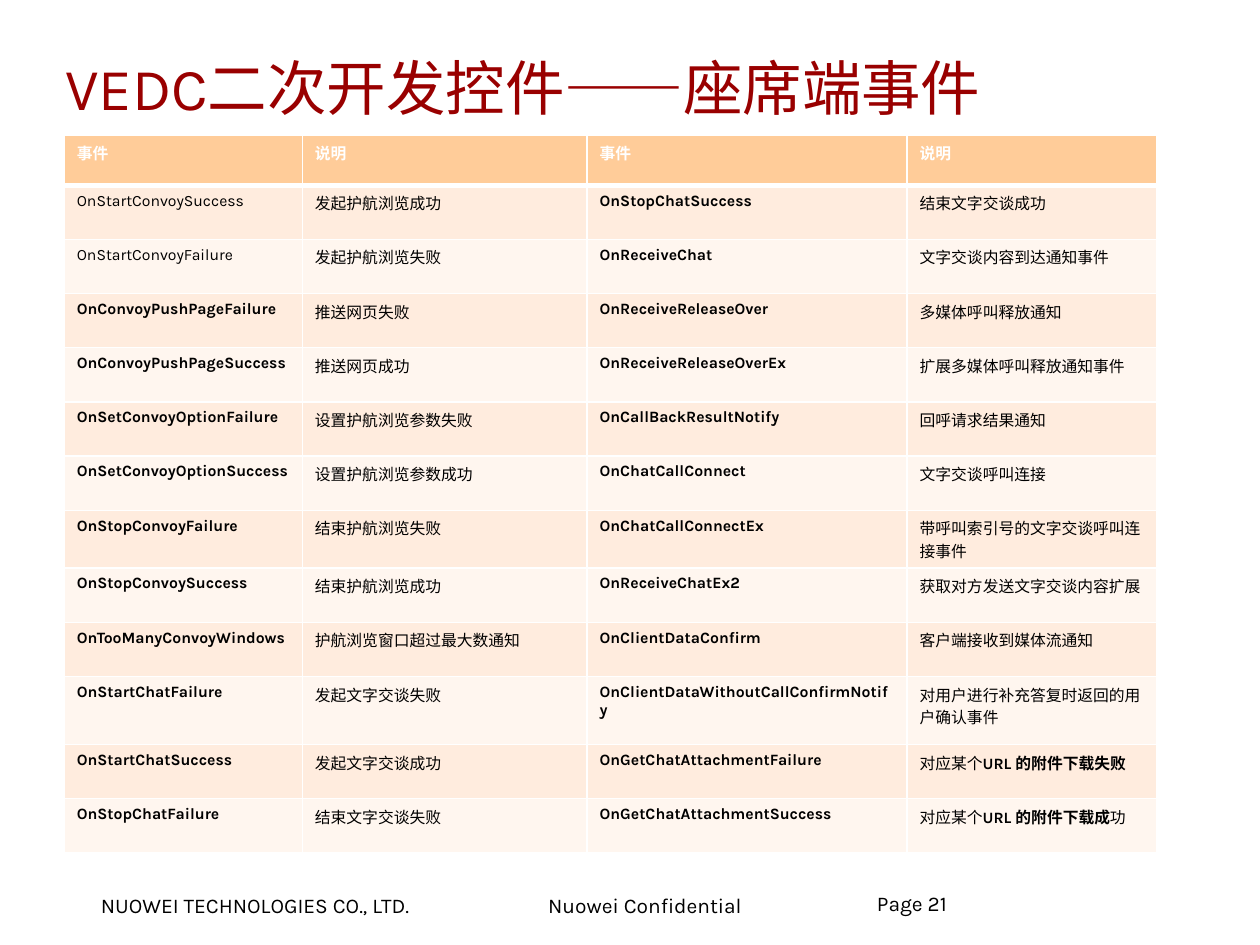
import pptx
import pptx.util
import pptx.dml.color
import pptx.enum.text
import pptx.oxml.ns
import lxml.etree

Inches = pptx.util.Inches
Pt = pptx.util.Pt
RGBColor = pptx.dml.color.RGBColor
qn = pptx.oxml.ns.qn
MIDDLE = pptx.enum.text.MSO_ANCHOR.MIDDLE
TOP = pptx.enum.text.MSO_ANCHOR.TOP

# Content: a cell is a string or a list of (text, bold) runs
TITLE = "VEDC二次开发控件——座席端事件"
COMPANY = "NUOWEI TECHNOLOGIES CO., LTD."
NOTICE = "Nuowei Confidential"
PAGE = "Page 21"
HEADER = ("事件", "说明", "事件", "说明")
EVENTS = [
    ([("OnStartConvoySuccess", False)], "发起护航浏览成功",
     "OnStopChatSuccess", "结束文字交谈成功"),
    ([("OnStartConvoyFailure", False)], "发起护航浏览失败",
     "OnReceiveChat", "文字交谈内容到达通知事件"),
    ("OnConvoyPushPageFailure", "推送网页失败",
     "OnReceiveReleaseOver", "多媒体呼叫释放通知"),
    ("OnConvoyPushPageSuccess", "推送网页成功",
     "OnReceiveReleaseOverEx", "扩展多媒体呼叫释放通知事件"),
    ("OnSetConvoyOptionFailure", "设置护航浏览参数失败",
     "OnCallBackResultNotify", "回呼请求结果通知"),
    ("OnSetConvoyOptionSuccess", "设置护航浏览参数成功",
     "OnChatCallConnect", "文字交谈呼叫连接"),
    ("OnStopConvoyFailure", "结束护航浏览失败",
     "OnChatCallConnectEx", "带呼叫索引号的文字交谈呼叫连接事件"),
    ("OnStopConvoySuccess", "结束护航浏览成功",
     "OnReceiveChatEx2", "获取对方发送文字交谈内容扩展"),
    ("OnTooManyConvoyWindows", "护航浏览窗口超过最大数通知",
     "OnClientDataConfirm", "客户端接收到媒体流通知"),
    ("OnStartChatFailure", "发起文字交谈失败",
     "OnClientDataWithoutCallConfirmNotify", "对用户进行补充答复时返回的用户确认事件"),
    ("OnStartChatSuccess", "发起文字交谈成功", "OnGetChatAttachmentFailure",
     [("对应某个", False), ("URL 的附件下载失败", True)]),
    ("OnStopChatFailure", "结束文字交谈失败", "OnGetChatAttachmentSuccess",
     [("对应某个", False), ("URL 的附件下载成", True), ("功", False)]),
]
COL_WIDTHS = (1.89, 2.26, 2.54, 1.98)
HEADER_HEIGHT, ROW_HEIGHT = 0.4, 0.43
TALL_ROWS = {7: 0.46, 10: 0.54}  # rows whose text takes two lines

FONT = "Karla"
WHITE = RGBColor(0xFF, 0xFF, 0xFF)
BLACK = RGBColor(0, 0, 0)
DARK_RED = RGBColor(0x99, 0, 0)
ORANGE = RGBColor(0xFF, 0xCC, 0x99)
BANDS = (RGBColor(0xFF, 0xF6, 0xEF), RGBColor(0xFF, 0xEC, 0xDE))


def add_run(p, text, size, color, bold=False):
    r = p.add_run()
    r.text = text
    r.font.name = FONT
    r.font.size = Pt(size)
    r.font.bold = bold
    r.font.color.rgb = color


def add_text(slide, box, text, size, color, wrap=True, anchor=TOP,
             margins=(0.09, 0.04), spacing=None):
    sp = slide.shapes.add_textbox(*map(Inches, box))
    tf = sp.text_frame
    tf.word_wrap = wrap
    tf.vertical_anchor = anchor
    tf.margin_left = tf.margin_right = Inches(margins[0])
    tf.margin_top = tf.margin_bottom = Inches(margins[1])
    p = tf.paragraphs[0]
    if spacing:
        p.line_spacing = spacing
    add_run(p, text, size, color)


def set_borders(cell, bottom, top):
    tcPr = cell._tc.get_or_add_tcPr()
    widths = (("a:lnL", 1), ("a:lnR", 1), ("a:lnT", top), ("a:lnB", bottom))
    for i, (tag, width) in enumerate(widths):
        ln = lxml.etree.Element(qn(tag), w=str(Pt(width)))
        fill = lxml.etree.SubElement(ln, qn("a:solidFill"))
        lxml.etree.SubElement(fill, qn("a:srgbClr"), val=str(WHITE))
        tcPr.insert(i, ln)


def add_event_table(slide):
    rows = [HEADER] + EVENTS
    heights = [HEADER_HEIGHT] + [TALL_ROWS.get(i, ROW_HEIGHT)
                                 for i in range(1, len(rows))]
    table = slide.shapes.add_table(
        len(rows), len(COL_WIDTHS), Inches(0.51), Inches(1.07),
        Inches(sum(COL_WIDTHS)), Inches(sum(heights))).table
    for col, width in zip(table.columns, COL_WIDTHS):
        col.width = Inches(width)
    for i, (row, height) in enumerate(zip(rows, heights)):
        table.rows[i].height = Inches(height)
        is_header = i == 0
        for j, content in enumerate(row):
            cell = table.cell(i, j)
            cell.fill.solid()
            cell.fill.fore_color.rgb = ORANGE if is_header else BANDS[i % 2]
            set_borders(cell, bottom=3 if is_header else 1, top=3 if i == 1 else 1)
            # Headings and event names are bold, descriptions are not
            if isinstance(content, str):
                content = [(content, is_header or j % 2 == 0)]
            for text, bold in content:
                add_run(cell.text_frame.paragraphs[0], text, 9,
                        WHITE if is_header else BLACK, bold)


def main():
    prs = pptx.Presentation()
    prs.slide_width, prs.slide_height = Inches(10), Inches(7.5)
    slide = prs.slides.add_slide(prs.slide_layouts[6])

    # Footer
    add_text(slide, (0.71, 7.04, 2.86, 0.29), COMPANY, 12, BLACK, wrap=False)
    add_text(slide, (4.26, 7.04, 1.78, 0.29), NOTICE, 12, BLACK, wrap=False)
    add_text(slide, (6.96, 7.1, 2.29, 0.5), PAGE, 12, BLACK,
             margins=(0, 0), spacing=0.85)

    # Title and table
    add_text(slide, (0.43, 0.21, 8.47, 0.95), TITLE, 34, DARK_RED, anchor=MIDDLE)
    add_event_table(slide)

    prs.save("out.pptx")


if __name__ == "__main__":
    main()
